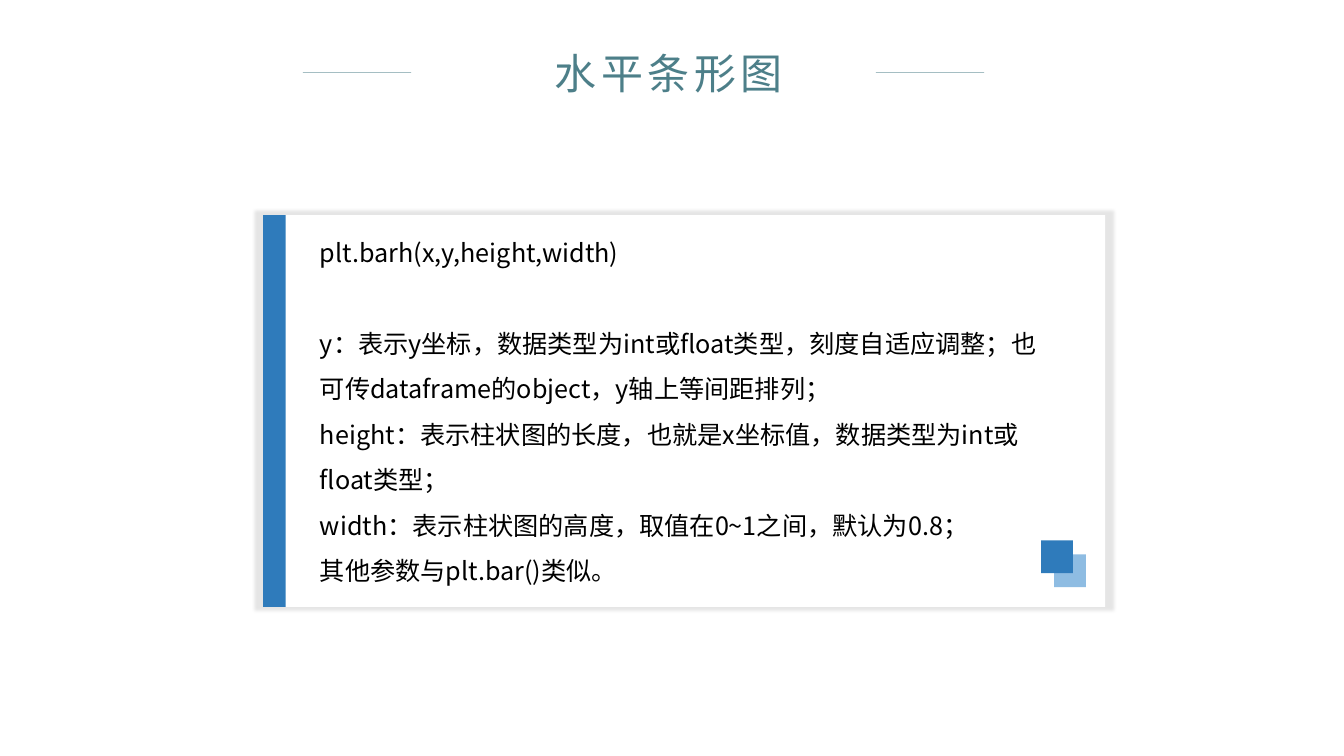
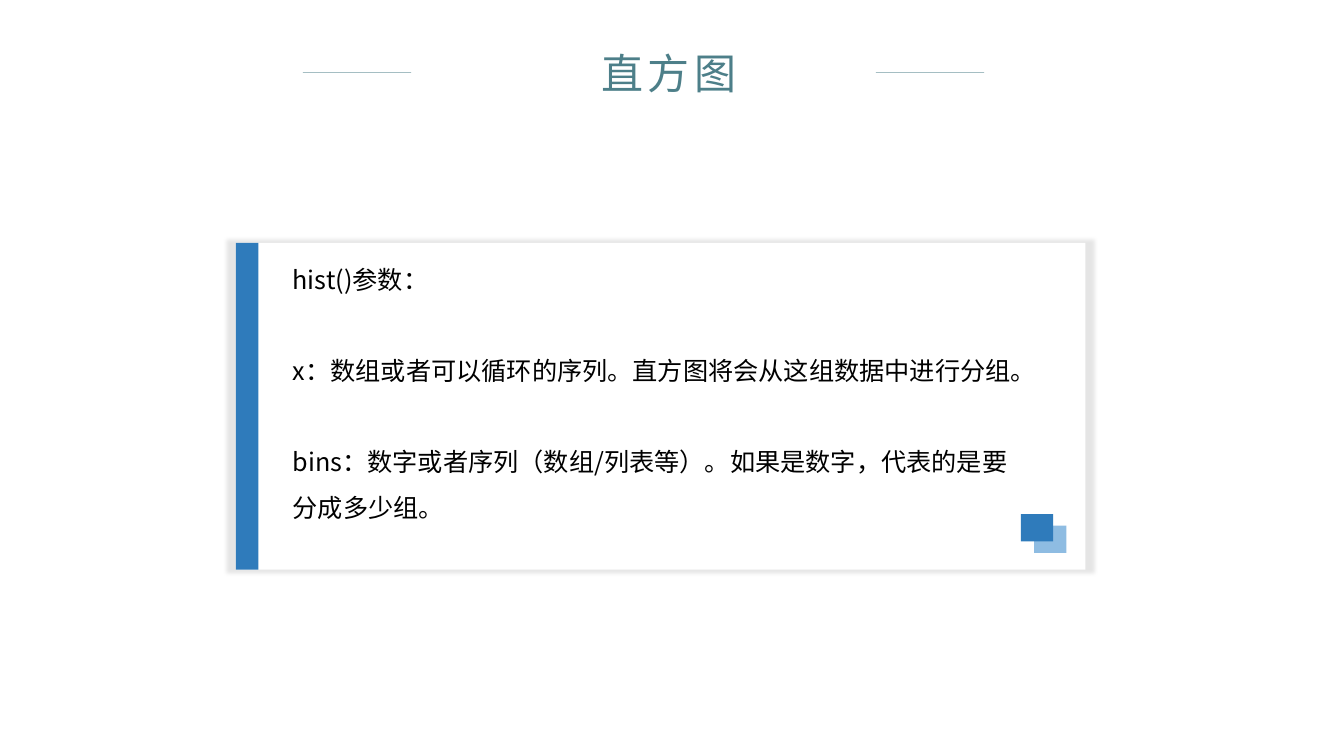
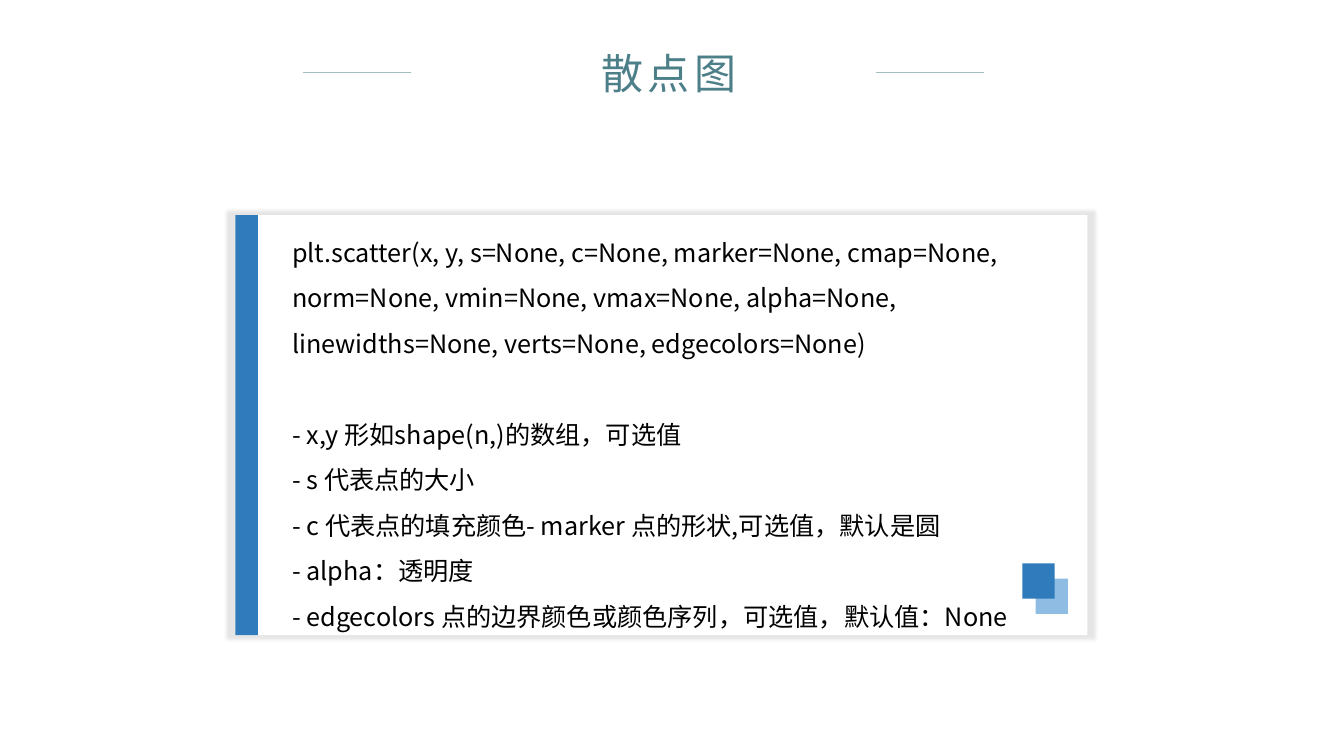
from dataclasses import dataclass

from lxml.etree import SubElement
from pptx import Presentation
from pptx.dml.color import RGBColor
from pptx.enum.shapes import MSO_CONNECTOR as Connector
from pptx.enum.shapes import MSO_SHAPE as Shape
from pptx.enum.text import MSO_AUTO_SIZE as AutoSize
from pptx.enum.text import PP_ALIGN as Align
from pptx.oxml.ns import qn
from pptx.util import Pt

PX = 9144


@dataclass(frozen=True)
class Theme:
    """Colours, font and type sizes shared by all slides."""
    font: str = "Noto Sans CJK JP"
    title: str = "4D7F89"
    text: str = "000000"
    card: str = "FFFFFF"
    accent: str = "2F7BBB"
    accent_light: str = "8EBCE2"
    title_size: int = 60
    title_leading: int = 72
    title_tracking: int = 660
    body_size: int = 36
    body_leading: int = 65


@dataclass(frozen=True)
class Box:
    """A rectangle in px."""
    left: int
    top: int
    width: int
    height: int

    def emu(self):
        """Return left, top, width and height in EMU."""
        return [value * PX for value in (self.left, self.top, self.width, self.height)]


THEME = Theme()
TITLE_BOX = Box(873, 89, 908, 212)
RULE_LEFTS = (601, 1738)
RULE_TOP, RULE_WIDTH = 144, 215
ROW_HEIGHT = 90

SLIDES = [
    ("水平条形图", Box(522, 427, 1671, 777), 8, [
        ["plt.barh(x,y,height,width)"],
        ["y：表示y坐标，数据类型为int或float类型，刻度自适应调整；也可传dataframe的object，y轴上等间距排列；",
         "height：表示柱状图的长度，也就是x坐标值，数据类型为int或float类型；",
         "width：表示柱状图的高度，取值在0~1之间，默认为0.8；",
         "其他参数与plt.bar()类似。"],
    ]),
    ("直方图", Box(468, 482, 1686, 648), 6, [
        ["hist()参数："],
        ["x：数组或者可以循环的序列。直方图将会从这组数据中进行分组。"],
        ["bins：数字或者序列（数组/列表等）。如果是数字，代表的是要分成多少组。"],
    ]),
    ("散点图", Box(467, 427, 1691, 833), 9, [
        ["plt.scatter(x, y, s=None, c=None, marker=None, cmap=None, norm=None, "
         "vmin=None, vmax=None, alpha=None, linewidths=None, verts=None, edgecolors=None)"],
        ["- x,y 形如shape(n,)的数组，可选值",
         "- s 代表点的大小",
         "- c 代表点的填充颜色- marker 点的形状,可选值，默认是圆",
         "- alpha：透明度",
         "- edgecolors 点的边界颜色或颜色序列，可选值，默认值：None"],
    ]),
]


def add_rectangle(shapes, box, color):
    """Add a plain filled rectangle."""
    rectangle = shapes.add_shape(Shape.RECTANGLE, *box.emu())
    rectangle.shadow.inherit = False
    rectangle.fill.solid()
    rectangle.fill.fore_color.rgb = RGBColor.from_string(color)
    rectangle.line.fill.background()
    return rectangle


def add_halo(shape):
    """Give a shape a soft, slightly enlarged shadow."""
    effects = shape._element.spPr.find(qn("a:effectLst"))
    shadow = SubElement(effects, qn("a:outerShdw"), blurRad=str(Pt(5)), sx="102000",
                        sy="102000", algn="ctr", rotWithShape="0")
    color = SubElement(shadow, qn("a:srgbClr"), val=THEME.text)
    SubElement(color, qn("a:alpha"), val="10000")


def add_text_frame(shapes, box):
    """Add a wrapping text box and return its frame."""
    frame = shapes.add_textbox(*box.emu()).text_frame
    frame.word_wrap = True
    frame.auto_size = AutoSize.SHAPE_TO_FIT_TEXT
    return frame


def style_paragraph(paragraph, size, leading, color):
    """Set the font and line spacing of a paragraph."""
    paragraph.font.name = THEME.font
    paragraph.font.size = Pt(size)
    paragraph.font.color.rgb = RGBColor.from_string(color)
    paragraph.line_spacing = Pt(leading)


def add_rule(shapes, left):
    """Add one half-transparent line beside the title."""
    top = RULE_TOP * PX
    rule = shapes.add_connector(Connector.STRAIGHT, left * PX, top,
                                (left + RULE_WIDTH) * PX, top)
    rule.line.width = Pt(1)
    rule.line.color.rgb = RGBColor.from_string(THEME.title)
    properties = rule._element.spPr
    color = properties.find(".//" + qn("a:srgbClr"))
    SubElement(color, qn("a:alpha"), val="50000")
    SubElement(properties, qn("a:effectLst"))


def add_title(slide, title, box):
    """Add the centred title between its two lines."""
    shapes = slide.shapes.add_group_shape().shapes
    for left in RULE_LEFTS:
        add_rule(shapes, left)
    paragraph = add_text_frame(shapes, box).paragraphs[0]
    run = paragraph.add_run()
    run.text = title
    run._r.get_or_add_rPr().set("spc", str(THEME.title_tracking))
    paragraph.alignment = Align.CENTER
    style_paragraph(paragraph, THEME.title_size, THEME.title_leading, THEME.title)


def add_body(shapes, box, sections):
    """Add the sections of text with one line of space between them."""
    frame = add_text_frame(shapes, box)
    paragraph = frame.paragraphs[0]
    for section_index, section in enumerate(sections):
        for line_index, line in enumerate(section):
            if section_index or line_index:
                paragraph = frame.add_paragraph()
            paragraph.text = line
            style_paragraph(paragraph, THEME.body_size, THEME.body_leading, THEME.text)
            if section_index and not line_index:
                paragraph.space_before = Pt(THEME.body_leading)


def add_corner_squares(shapes, card):
    """Add the two overlapping squares, scaled to the card."""
    width, height = round(card.width * 0.038), round(card.height * 0.084)
    left = card.left + round(card.width * 0.924)
    top = card.top + round(card.height * 0.83)
    shift = round(card.height * 0.036)
    add_rectangle(shapes, Box(left + 26, top + shift, width, height), THEME.accent_light)
    add_rectangle(shapes, Box(left, top, width, height), THEME.accent)


def add_card(slide, card, rows, sections):
    """Add the white card with its side bar, text and corner squares."""
    shapes = slide.shapes.add_group_shape().shapes
    add_halo(add_rectangle(shapes, card, THEME.card))
    add_rectangle(shapes, Box(card.left, card.top, 45, card.height), THEME.accent)
    text_box = Box(card.left + 103, card.top + 8, card.width - 205, rows * ROW_HEIGHT + 15)
    add_body(shapes, text_box, sections)
    add_corner_squares(shapes, card)


def main():
    """Build and save the presentation."""
    presentation = Presentation()
    presentation.slide_width = 2667 * PX
    presentation.slide_height = 1500 * PX
    for title, card, rows, sections in SLIDES:
        slide = presentation.slides.add_slide(presentation.slide_layouts[6])
        add_title(slide, title, TITLE_BOX)
        add_card(slide, card, rows, sections)
    presentation.save("out.pptx")


if __name__ == "__main__":
    main()
